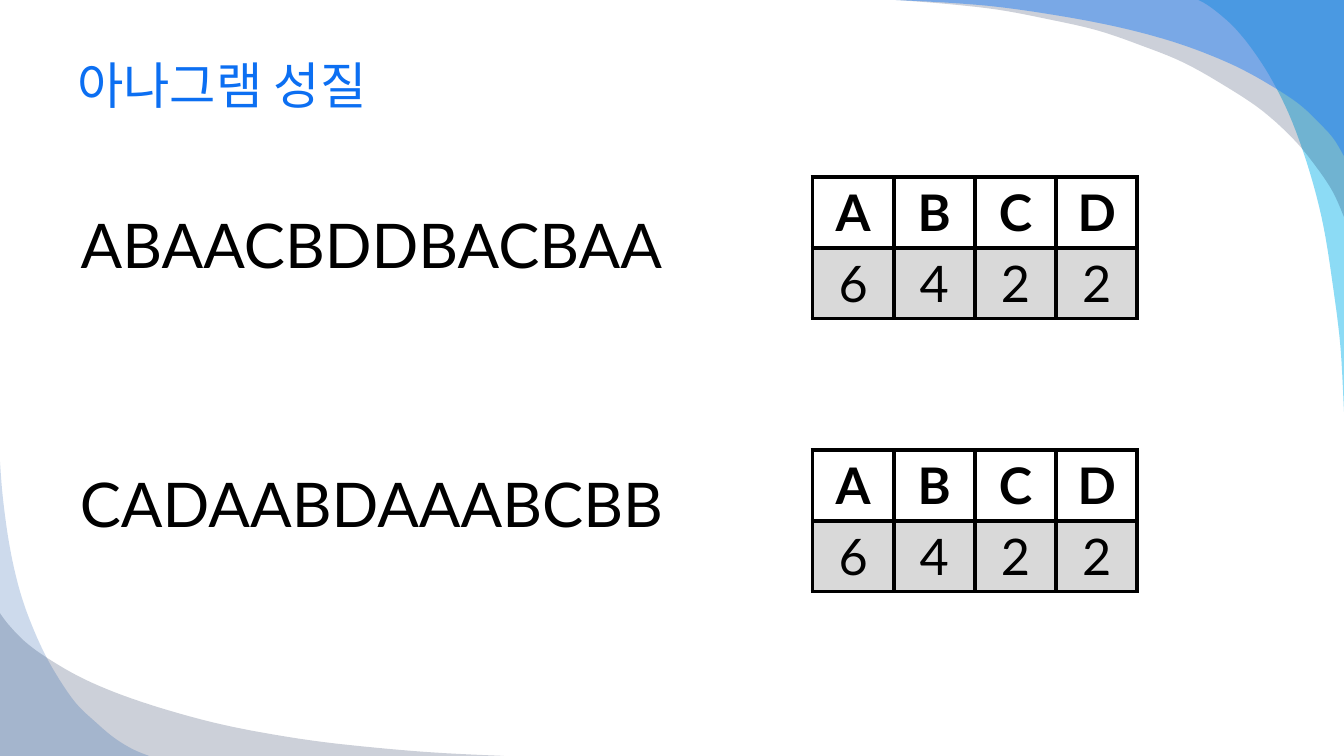
from lxml.etree import SubElement
from pptx import Presentation
from pptx.dml.color import RGBColor
from pptx.enum.text import MSO_ANCHOR, PP_ALIGN
from pptx.oxml.ns import qn
from pptx.util import Pt

FONT = "Lato"
BLACK = RGBColor(0x00, 0x00, 0x00)
WHITE = RGBColor(0xFF, 0xFF, 0xFF)
GRAY = RGBColor(0xD9, 0xD9, 0xD9)
TITLE_BLUE = RGBColor(0x0C, 0x6F, 0xF2)
CYAN = RGBColor(0x00, 0xB1, 0xE9)
NAVY = RGBColor(0x02, 0x17, 0x41)
BRIGHT_BLUE = RGBColor(0x24, 0x7F, 0xF4)
DEEP_BLUE = RGBColor(0x08, 0x4A, 0xA1)

TITLE_FORMAT = {"name": FONT, "size": Pt(36)}
WORD_FORMAT = {"name": FONT, "size": Pt(44)}
HEADER_FORMAT = {"name": FONT, "size": Pt(36), "bold": True}
COUNT_FORMAT = {"name": FONT, "size": Pt(36), "bold": False}

WORDS = ["ABAACBDDBACBAA", "CADAABDAAABCBB"]
LETTERS = "ABCD"

TOP_RIGHT_WAVES = [
    (CYAN, 45, [(216, 0), (222.5, 3.6), (231, 10), (242, 20), (255, 36),
                (269, 58), (283, 87), (296, 124.5), (305.5, 162.5),
                (312.5, 207), (317.5, 248), (320, 294)]),
    (NAVY, 20, [(0, 0), (38, 3), (73, 7), (105, 13), (143, 21.5),
                (176.5, 33), (206, 45), (236, 62), (261.5, 79),
                (284, 99.5), (300, 119), (312, 137), (320, 155)]),
    (BRIGHT_BLUE, 49, [(0, 0), (38, 2), (73.5, 5), (115, 11), (152.5, 18),
                       (185, 26), (213, 35), (242, 47), (266, 60),
                       (287.5, 74), (302.5, 88), (312.5, 99), (320, 111.5)]),
]
BOTTOM_LEFT_WAVES = [
    (NAVY, 20, [(0, 108), (6, 116), (17.5, 128), (33, 139.5), (56, 153),
                (82, 164.5), (114, 175.5), (152, 186), (188.5, 193.5),
                (230.5, 200), (278, 205), (317.5, 208), (360, 210)]),
    (DEEP_BLUE, 20, [(0, 0), (2, 25), (6, 55), (11.5, 82), (18.5, 105.5),
                     (29, 131), (40, 151.5), (54, 172), (68.5, 186),
                     (81.5, 197), (94.5, 205), (106.5, 210)]),
]


def smooth_curve(points, steps=5):
    padded = [points[0], *points, points[-1]]
    curve = [points[0]]
    for a, b, c, d in zip(padded, padded[1:], padded[2:], padded[3:]):
        for step in range(1, steps + 1):
            t = step / steps
            curve.append(tuple(
                q + t * (r - p) / 2
                + t ** 2 * (2 * p - 5 * q + 4 * r - s) / 2
                + t ** 3 * (3 * q - p - 3 * r + s) / 2
                for p, q, r, s in zip(a, b, c, d)))
    return curve


def add_waves(slide, box, corner, waves):
    left, top = box
    for color, opacity, points in waves:
        outline = [(Pt(left + x), Pt(top + y))
                   for x, y in [*smooth_curve(points), corner]]
        builder = slide.shapes.build_freeform(*outline[0])
        builder.add_line_segments(outline[1:], close=True)
        shape = builder.convert_to_shape()
        shape.shadow.inherit = False
        shape.line.fill.background()
        shape.fill.solid()
        shape.fill.fore_color.rgb = color
        color_element = shape.fill._xPr.find(qn("a:solidFill"))[0]
        SubElement(color_element, qn("a:alpha"), val=str(opacity * 1000))


def write(paragraph, text, formats, color, alignment):
    paragraph.alignment = alignment
    run = paragraph.add_run()
    run.text = text
    for name, value in formats.items():
        setattr(run.font, name, value)
    run.font.color.rgb = color


def add_text_frame(slide, box):
    frame = slide.shapes.add_textbox(*map(Pt, box)).text_frame
    frame.word_wrap = True
    return frame


def add_title(slide, box, text):
    frame = add_text_frame(slide, box)
    frame.vertical_anchor = MSO_ANCHOR.MIDDLE
    write(frame.paragraphs[0], text, TITLE_FORMAT, TITLE_BLUE, PP_ALIGN.LEFT)


def add_words(slide, box, words, gap):
    frame = add_text_frame(slide, box)
    for index, word in enumerate(words):
        paragraph = frame.add_paragraph() if index else frame.paragraphs[0]
        if index:
            paragraph.space_before = Pt(gap)
        write(paragraph, word, WORD_FORMAT, BLACK, PP_ALIGN.CENTER)


def add_borders(cell, width):
    properties = cell._tc.get_or_add_tcPr()
    for side in ("lnL", "lnR", "lnT", "lnB"):
        line = SubElement(properties, qn(f"a:{side}"), w=str(Pt(width)))
        fill = SubElement(line, qn("a:solidFill"))
        SubElement(fill, qn("a:srgbClr"), val=str(BLACK))


def add_letter_counts(slide, box, word):
    rows = [
        (LETTERS, HEADER_FORMAT, WHITE),
        ([str(word.count(letter)) for letter in LETTERS], COUNT_FORMAT, GRAY),
    ]
    table = slide.shapes.add_table(
        len(rows), len(LETTERS), *map(Pt, box)).table
    table.first_row = table.horz_banding = False
    for row_index, (values, formats, background) in enumerate(rows):
        for column_index, value in enumerate(values):
            cell = table.cell(row_index, column_index)
            add_borders(cell, 3)
            cell.fill.solid()
            cell.fill.fore_color.rgb = background
            cell.vertical_anchor = MSO_ANCHOR.MIDDLE
            write(cell.text_frame.paragraphs[0], value, formats, BLACK,
                  PP_ALIGN.CENTER)


def main():
    presentation = Presentation()
    presentation.slide_width = Pt(960)
    presentation.slide_height = Pt(540)
    slide = presentation.slides.add_slide(presentation.slide_layouts[6])
    add_waves(slide, (640, 0), (320, 0), TOP_RIGHT_WAVES)
    add_waves(slide, (0, 330), (0, 210), BOTTOM_LEFT_WAVES)
    add_title(slide, (48, 24, 864, 72.5), "아나그램 성질")
    add_words(slide, (48, 144.4, 435, 338), WORDS, gap=132)
    for index, word in enumerate(WORDS):
        add_letter_counts(slide, (580.4, 126.5 + index * 195, 232, 101), word)
    presentation.save("out.pptx")


if __name__ == "__main__":
    main()
